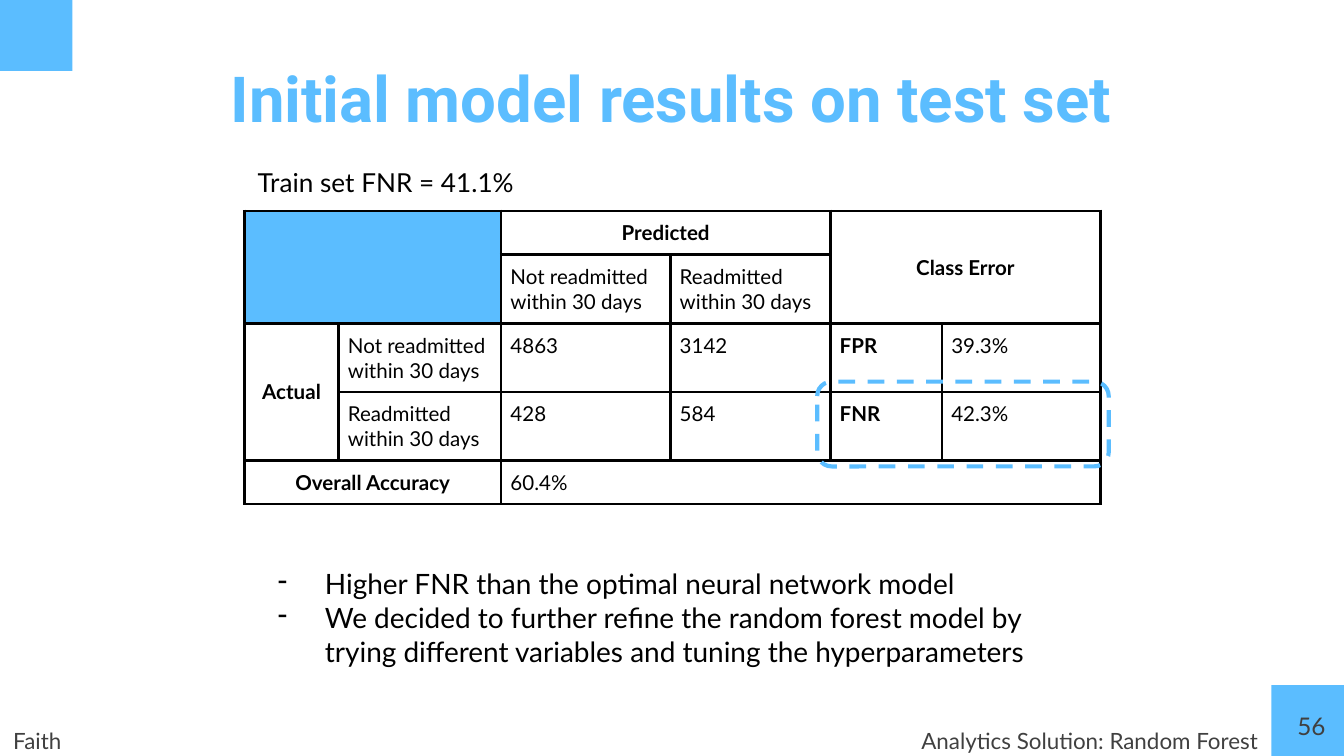
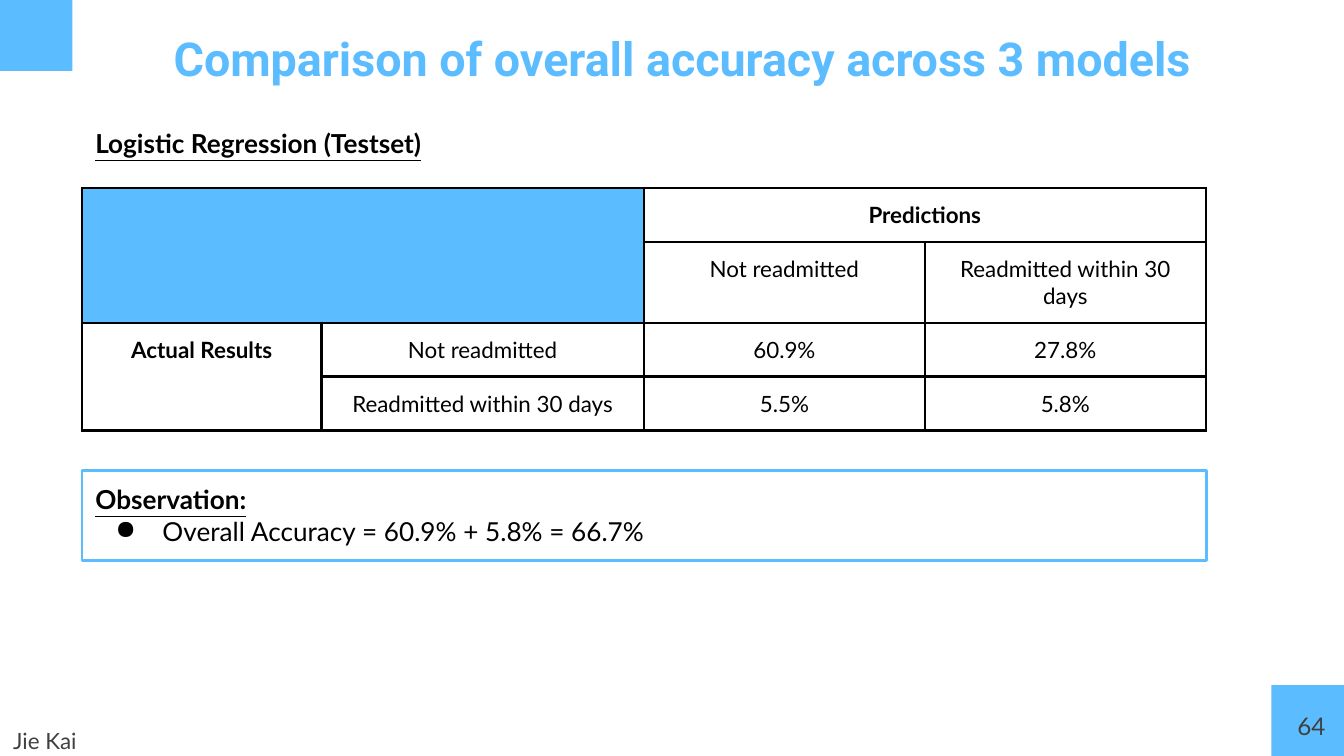
from lxml.etree import SubElement
from pptx import Presentation
from pptx.dml.color import RGBColor
from pptx.enum.dml import MSO_LINE
from pptx.enum.shapes import MSO_SHAPE as SHAPE
from pptx.enum.text import MSO_ANCHOR as ANCHOR, MSO_AUTO_SIZE as AUTO, PP_ALIGN as ALIGN
from pptx.oxml.ns import qn
from pptx.util import Pt

BLUE, GREY, BLACK = "5BBDFF", "404040", "000000"
LEFT, CENTER, RIGHT = ALIGN.LEFT, ALIGN.CENTER, ALIGN.RIGHT
rgb = RGBColor.from_string


def write(sp, lines, size, color=BLACK, align=LEFT, anchor=ANCHOR.TOP, font="Lato", spacing=None):
    """Fill a shape with (text, style) lines; style is "", "bold", "head" or a bullet sign."""
    tf = sp.text_frame
    tf.word_wrap, tf.auto_size, tf.vertical_anchor = True, AUTO.NONE, anchor
    tf.margin_left = tf.margin_right = tf.margin_top = tf.margin_bottom = Pt(7.2)
    tf.text = "\n".join(text for text, style in lines)
    for p, (text, style) in zip(tf.paragraphs, lines):
        p.alignment = align
        if spacing:
            p.line_spacing = spacing
        if style in ("-", "●"):
            pPr = p._p.get_or_add_pPr()
            pPr.set("marL", str(Pt(36)))
            pPr.set("indent", str(Pt(-25.2)))
            SubElement(SubElement(pPr, qn("a:buClr")), qn("a:srgbClr"), val=BLACK)
            SubElement(pPr, qn("a:buChar"), char=style)
        f = p.runs[0].font
        f.name, f.size, f.color.rgb = font, Pt(size), rgb(color)
        f.bold, f.underline = style in ("bold", "head"), style == "head"


def add_grid(s, left, top, widths, heights, rows, merges, bold, middle, size, margin, centered):
    """Add a black-ruled table; centered, bold and middle list the cell texts they apply to."""
    tbl = s.shapes.add_table(len(heights), len(widths), Pt(left), Pt(top),
                             Pt(sum(widths)), Pt(sum(heights))).table
    tbl.first_row = tbl.horz_banding = False
    for col, width in zip(tbl.columns, widths):
        col.width = Pt(width)
    for row, height in zip(tbl.rows, heights):
        row.height = Pt(height)
    for r, texts in enumerate(rows):
        for c, text in enumerate(texts):
            cell = tbl.cell(r, c)
            tcPr = cell._tc.get_or_add_tcPr()
            for side in ("a:lnL", "a:lnR", "a:lnT", "a:lnB"):
                ln = SubElement(tcPr, qn(side), w=str(Pt(1.5)))
                SubElement(SubElement(ln, qn("a:solidFill")), qn("a:srgbClr"), val=BLACK)
            cell.fill.background()
            cell.margin_left = cell.margin_right = Pt(margin)
            cell.margin_top = cell.margin_bottom = Pt(margin)
            cell.vertical_anchor = ANCHOR.MIDDLE if text in middle else ANCHOR.TOP
            if text:
                cell.text = text
                p = cell.text_frame.paragraphs[0]
                p.alignment = CENTER if text in centered else LEFT
                f = p.runs[0].font
                f.name, f.size, f.color.rgb = "Lato", Pt(size), rgb(BLACK)
                f.bold = text in bold
    for r1, c1, r2, c2 in merges:
        tbl.cell(r1, c1).merge(tbl.cell(r2, c2))
    # Blank corner
    tbl.cell(0, 0).fill.solid()
    tbl.cell(0, 0).fill.fore_color.rgb = rgb(BLUE)


prs = Presentation()
prs.slide_width, prs.slide_height = Pt(720), Pt(405)

# Shared frame: corner squares, title, page number, footers
frames = [
    ("Initial model results on test set", (66.24, 24.5, 586.8, 45.4), 34, "56",
     "Faith", "Analytics Solution: Random Forest"),
    ("Comparison of overall accuracy across 3 models", (40.3, 8.6, 650.2, 45.4), 25, "64",
     "Jie Kai", ""),
]
slides = []
for title, box, size, page, presenter, section in frames:
    s = prs.slides.add_slide(prs.slide_layouts[5])
    slides.append(s)
    for x, y in ((0, 0), (681.1, 367)):
        sp = s.shapes.add_shape(SHAPE.RECTANGLE, Pt(x), Pt(y), Pt(38.9), Pt(38))
        sp.shadow.inherit = False
        sp.fill.solid()
        sp.fill.fore_color.rgb = rgb(BLUE)
        sp.line.fill.background()
    sp = s.shapes.title
    sp.left, sp.top, sp.width, sp.height = [Pt(v) for v in box]
    write(sp, [(title, "bold")], size, BLUE, CENTER, font="Roboto")
    sp = s.shapes.add_textbox(Pt(673.9), Pt(373.7), Pt(43.2), Pt(31))
    write(sp, [(page, "")], 13, GREY, RIGHT)
    for text, x, width, align in ((presenter, 0, 200.9, LEFT), (section, 437.8, 243.4, RIGHT)):
        if text:
            sp = s.shapes.add_textbox(Pt(x), Pt(386.6), Pt(width), Pt(18))
            write(sp, [(text, "")], 12, GREY, align, ANCHOR.MIDDLE, spacing=1.15)

# Slide 1: random forest confusion matrix
s = slides[0]
NOT, YES = "Not readmitted within 30 days", "Readmitted within 30 days"
headers = ["Predicted", "Class Error", "Actual", "Overall Accuracy"]
add_grid(s, 131, 113, [50.4, 87.1, 90.7, 85.7, 59.8, 85], [23, 37, 36.5, 36.5, 23.5],
         [["", "", "Predicted", "", "Class Error", ""],
          ["", "", NOT, YES, "", ""],
          ["Actual", NOT, "4863", "3142", "FPR", "39.3%"],
          ["", YES, "428", "584", "FNR", "42.3%"],
          ["Overall Accuracy", "", "60.4%", "", "", ""]],
         [(0, 0, 1, 1), (0, 2, 0, 3), (0, 4, 1, 5), (2, 0, 3, 0), (4, 0, 4, 1), (4, 2, 4, 5)],
         headers + ["FPR", "FNR"], ["Class Error", "Actual"], 11, 5, headers)

sp = s.shapes.add_textbox(Pt(131), Pt(296.6), Pt(458), Pt(69))
write(sp, [("Higher FNR than the optimal neural network model", "-"),
           ("We decided to further refine the random forest model by trying different "
            "variables and tuning the hyperparameters", "-")], 15)

# Dashed highlight around the FNR row
sp = s.shapes.add_shape(SHAPE.ROUNDED_RECTANGLE, Pt(437.8), Pt(204.5), Pt(156.2), Pt(45.4))
sp.shadow.inherit = False
sp.adjustments[0] = 0.17
sp.fill.background()
sp.line.color.rgb, sp.line.width, sp.line.dash_style = rgb(BLUE), Pt(2.25), MSO_LINE.DASH

sp = s.shapes.add_textbox(Pt(131), Pt(82.1), Pt(345.6), Pt(31.7))
write(sp, [("Train set FNR = 41.1%", "")], 14)

# Slide 2: logistic regression confusion matrix
s = slides[1]
NOT = "Not readmitted"
rows = [["", "", "Predictions", ""],
        ["", "", NOT, YES],
        ["Actual Results", NOT, "60.9%", "27.8%"],
        ["", YES, "5.5%", "5.8%"]]
add_grid(s, 44, 100.8, [128.2, 172.8, 150.5, 150.5], [28.9, 42.9, 28.9, 28.9], rows,
         [(0, 0, 1, 1), (0, 2, 0, 3), (2, 0, 3, 0)],
         ["Predictions", "Actual Results"], [], 12, 7.2, sum(rows, []))

sp = s.shapes.add_textbox(Pt(44), Pt(61.2), Pt(602.6), Pt(31.7))
write(sp, [("Logistic Regression (Testset)", "head")], 14)

# Observation box
sp = s.shapes.add_shape(SHAPE.RECTANGLE, Pt(44), Pt(252), Pt(602.6), Pt(48.4))
sp.shadow.inherit = False
sp.fill.background()
sp.line.color.rgb, sp.line.width = rgb(BLUE), Pt(1.5)
write(sp, [("Observation:", "head"), ("Overall Accuracy = 60.9% + 5.8% = 66.7%", "●")], 14)

prs.save("out.pptx")
